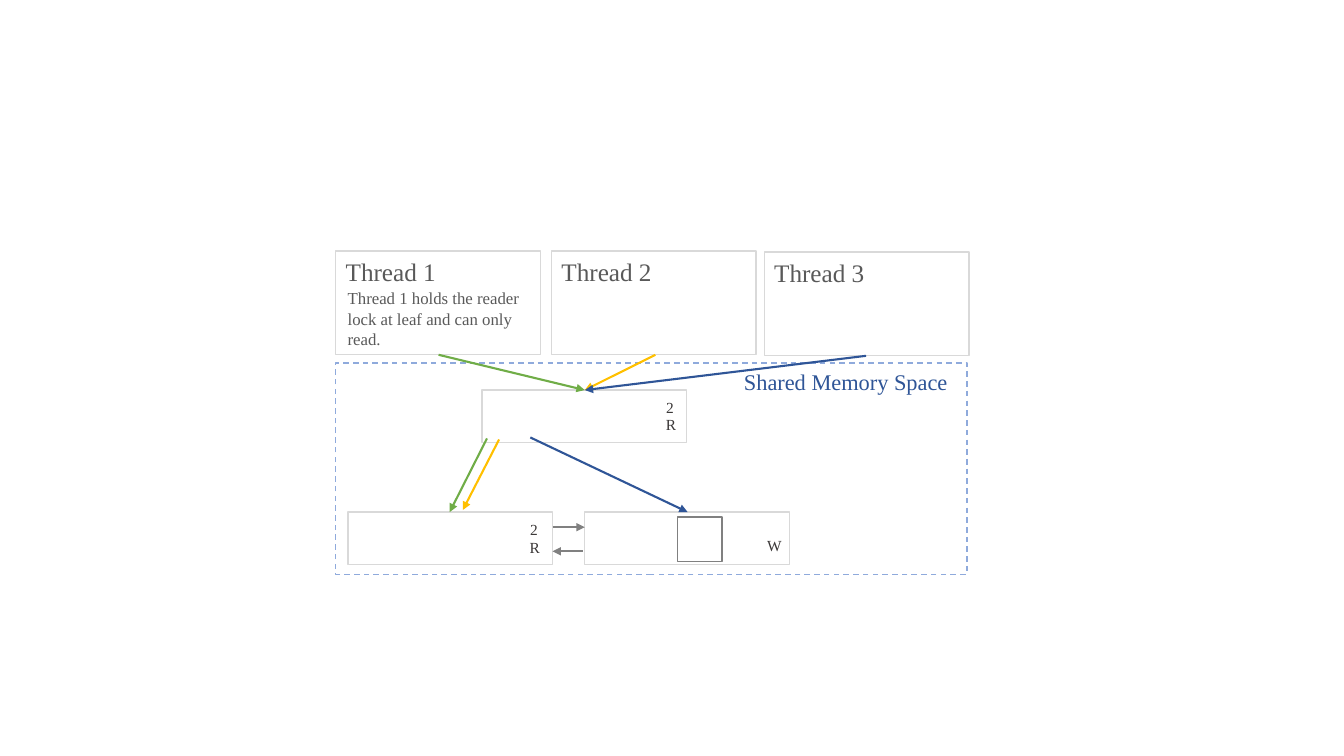
from dataclasses import dataclass

from lxml.etree import SubElement
from pptx import Presentation
from pptx.dml.color import RGBColor as RGB
from pptx.enum.dml import MSO_LINE as Dash
from pptx.enum.shapes import MSO_CONNECTOR as Link, MSO_SHAPE as Shape
from pptx.enum.text import MSO_AUTO_SIZE as Fit, PP_ALIGN as Align
from pptx.oxml.ns import qn
from pptx.util import Inches, Pt


@dataclass(frozen=True)
class Theme:
    font: str = "Times New Roman"
    frame: str = "8FAADC"
    edge: str = "D9D9D9"
    gray: str = "808080"
    body: str = "595959"
    dark: str = "3B3838"
    green: str = "70AD47"
    gold: str = "FFC000"
    blue: str = "2F5597"
    head: int = 18
    space: int = 16
    note: int = 12
    lock: int = 11
    thin: float = 1
    thick: float = 1.5


theme = Theme()
deck = Presentation()
deck.slide_width, deck.slide_height = Inches(13.33), Inches(7.5)
slide = deck.slides.add_slide(deck.slide_layouts[6])
shapes = slide.shapes


def write(text, *, at, size, color, align=Align.LEFT, wrap=True):
    box = shapes.add_textbox(*map(Inches, at))
    frame = box.text_frame
    frame.word_wrap = wrap
    frame.auto_size = Fit.SHAPE_TO_FIT_TEXT
    para = frame.paragraphs[0]
    para.alignment = align
    run = para.add_run()
    run.text = text
    run.font.name = theme.font
    run.font.size = Pt(size)
    run.font.color.rgb = RGB.from_string(color)


# Shared space, tree nodes, value slot and thread boxes
threads = [(3.33, 2.49), (5.47, 2.49), (7.58, 2.5)]
node = (2.03, 0.52)
boxes = [
    ((3.33, 3.6, 6.26, 2.1), theme.frame),
    ((4.78, 3.87, *node), theme.edge),
    ((3.45, 5.08, *node), theme.edge),
    ((6.72, 5.13, 0.44, 0.44), theme.gray),
    ((5.8, 5.08, *node), theme.edge),
]
boxes += [((x, y, 2.03, 1.03), theme.edge) for x, y in threads]
for at, color in boxes:
    box = shapes.add_shape(Shape.RECTANGLE, *map(Inches, at))
    box.shadow.inherit = False
    box.fill.background()
    box.line.color.rgb = RGB.from_string(color)
    box.line.width = Pt(theme.thin)
    if color == theme.frame:
        box.line.dash_style = Dash.DASH

# Thread titles, note and space label
for num, (x, y) in enumerate(threads, 1):
    write(f"Thread {num}", at=(x, y, 1.11, 0.4), size=theme.head,
          color=theme.body, wrap=False)
write("Thread 1 holds the reader lock at leaf and can only read.",
      at=(3.35, 2.81, 2.03, 0.71), size=theme.note, color=theme.body)
write("Shared Memory Space", at=(7.28, 3.6, 2.35, 0.37),
      size=theme.space, color=theme.blue)

# Arrows: threads to root, root to leaves, leaf to leaf
root = (5.8, 3.87)
arrows = [
    ((4.35, 3.52), root, theme.green),
    ((6.5, 3.52), root, theme.gold),
    ((8.59, 3.53), root, theme.blue),
    ((4.83, 4.35), (4.46, 5.08), theme.green),
    ((4.95, 4.36), (4.59, 5.06), theme.gold),
    ((5.26, 4.34), (6.82, 5.08), theme.blue),
    ((5.48, 5.23), (5.8, 5.23), theme.gray),
    ((5.78, 5.47), (5.48, 5.47), theme.gray),
]
for start, end, color in arrows:
    arrow = shapes.add_connector(Link.STRAIGHT, *map(Inches, start + end))
    arrow.line.color.rgb = RGB.from_string(color)
    arrow.line.width = Pt(theme.thick)
    SubElement(arrow.line._get_or_add_ln(), qn("a:tailEnd"), type="triangle")
    SubElement(arrow._element.spPr, qn("a:effectLst"))

# Lock counts and modes
locks = [("2", 6.49, 3.9), ("R", 6.5, 4.07), ("2", 5.14, 5.11),
         ("R", 5.15, 5.29), ("W", 7.51, 5.27)]
for text, x, y in locks:
    write(text, at=(x, y, 0.31, 0.29), size=theme.lock, color=theme.dark,
          align=Align.CENTER)

deck.save("out.pptx")
